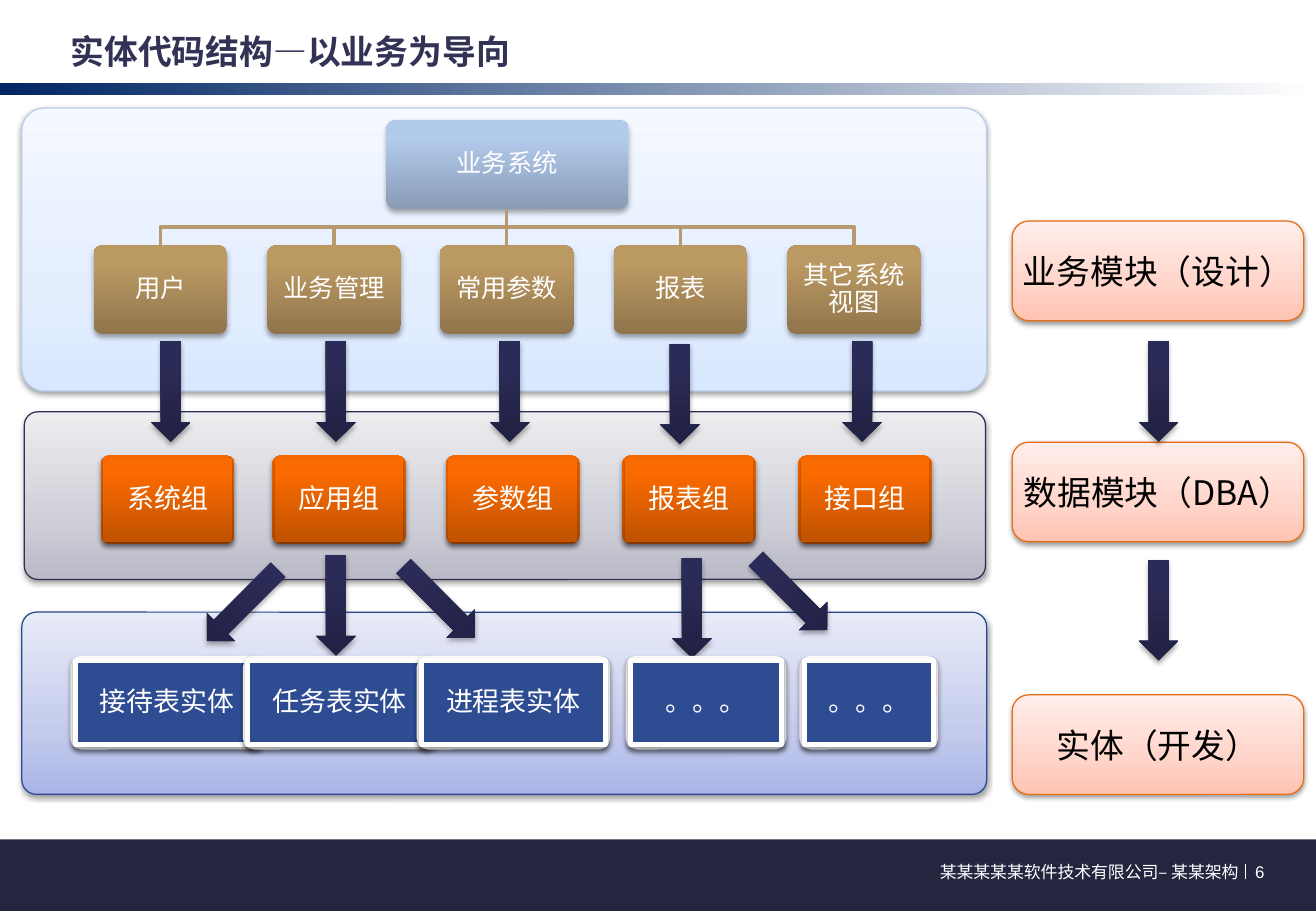
from lxml.etree import SubElement
from pptx import Presentation
from pptx.dml.color import RGBColor
from pptx.enum.shapes import MSO_CONNECTOR, MSO_SHAPE
from pptx.enum.text import MSO_ANCHOR, PP_ALIGN
from pptx.oxml.ns import qn
from pptx.util import Emu, Pt

PX = 9144
WHITE = RGBColor(0xFF, 0xFF, 0xFF)
BLACK = RGBColor(0x00, 0x00, 0x00)
NAVY = RGBColor(0x00, 0x26, 0x64)
FOOTER = RGBColor(0x25, 0x25, 0x40)
TITLE = RGBColor(0x32, 0x32, 0x55)
TAN = RGBColor(0xB6, 0x9B, 0x70)
ENTITY = RGBColor(0x2D, 0x4C, 0x92)
GRAY_LINE = RGBColor(0x30, 0x30, 0x54)
SKY_LINE = RGBColor(0xBA, 0xCD, 0xE9)
BLUE_LINE = RGBColor(0x2A, 0x49, 0x91)
ROLE_LINE = RGBColor(0xE9, 0x6E, 0x12)


def ramp(middle, *colors):
    """Return three gradient stops with the given middle position."""
    return list(zip((0, middle, 100), map(RGBColor.from_string, colors)))


GRAY_RAMP = ramp(35, "BABAC8", "CFCFD8", "EDEDF0")
SKY_RAMP = ramp(35, "D9E8FF", "E4EEFF", "F4F8FF")
BLUE_RAMP = ramp(35, "AAB5E6", "C4CBEC", "E8EBF8")
ROLE_RAMP = ramp(35, "FFC3B2", "FFD4C9", "FFEEEB")
ROOT_RAMP = ramp(80, "899CB6", "B2CAEC", "B2CBEF")
TAN_RAMP = ramp(80, "90754C", "BB9962", "BD9A61")
ORANGE_RAMP = ramp(80, "C05200", "F96A00", "FA6B00")
ARROW_RAMP = ramp(80, "212143", "2B2B57", "2B2B59")


def px(*values):
    """Turn px lengths into EMU."""
    return [Emu(round(v * PX)) for v in values]


def set_gradient(s, stops, angle):
    """Fill a shape with a linear gradient."""
    s.fill.gradient()
    s.fill.gradient_angle = angle
    gs_list = s._element.spPr.find(qn("a:gradFill")).find(qn("a:gsLst"))
    gs_list.clear()
    for pos, color in stops:
        gs = SubElement(gs_list, qn("a:gs"), pos=str(pos * 1000))
        SubElement(gs, qn("a:srgbClr"), val=str(color))


def set_shadow(s, alpha, distance):
    """Give a shape a soft shadow straight below it."""
    effects = s._element.spPr.find(qn("a:effectLst"))
    shadow = SubElement(effects, qn("a:outerShdw"), blurRad="40000",
                        dist=str(distance), dir="5400000", rotWithShape="0")
    color = SubElement(shadow, qn("a:srgbClr"), val=str(BLACK))
    SubElement(color, qn("a:alpha"), val=str(alpha * 1000))


def add_box(slide, kind, at, fill, line=None, width=0.75, adj=None,
            angle=90, shadow=True):
    """Add a preset shape with a solid or gradient fill."""
    s = slide.shapes.add_shape(kind, *px(*at))
    if adj is not None:
        s.adjustments[0] = adj
    if isinstance(fill, list):
        set_gradient(s, fill, angle)
    else:
        s.fill.solid()
        s.fill.fore_color.rgb = fill
    if line is None:
        s.line.fill.background()
    else:
        s.line.color.rgb = line
        s.line.width = Pt(width)
    s.shadow.inherit = False
    if shadow:
        set_shadow(s, *((38, 20000) if line is not None else (35, 23000)))
    return s


def set_text(s, text, size, color, align=PP_ALIGN.CENTER, font="Arial",
             inset=0, spacing=None, bold=False, anchor=MSO_ANCHOR.MIDDLE):
    """Write one paragraph into a shape."""
    tf = s.text_frame
    tf.word_wrap = True
    tf.vertical_anchor = anchor
    tf.margin_left, tf.margin_top, tf.margin_right, tf.margin_bottom = px(*[inset] * 4)
    p = tf.paragraphs[0]
    p.text = text
    p.alignment = align
    p.line_spacing = spacing
    p.font.name = font
    p.font.size = Pt(size)
    p.font.bold = bold
    p.font.color.rgb = color


def add_label(slide, at, text, size, color, align=PP_ALIGN.LEFT, bold=False):
    """Add a plain text box."""
    s = slide.shapes.add_textbox(*px(*at))
    set_text(s, text, size, color, align, bold=bold, anchor=MSO_ANCHOR.TOP)


def add_line(slide, start, end, color, width):
    """Add a straight line."""
    s = slide.shapes.add_connector(MSO_CONNECTOR.STRAIGHT, *px(*start, *end))
    s.line.color.rgb = color
    s.line.width = Pt(width)
    SubElement(s._element.spPr, qn("a:effectLst"))


def add_branch(slide, root_x, x):
    """Link the root node to a module centred at x."""
    top, bend, bottom = 173, 187, 202
    if x == root_x:
        add_line(slide, (x, top), (x, bottom), TAN, 2)
        return
    points = [px(*pt) for pt in ((root_x, bend), (x, bend), (x, bottom))]
    builder = slide.shapes.build_freeform(*px(root_x, top))
    s = builder.add_line_segments(points, close=False).convert_to_shape()
    s.fill.background()
    s.line.color.rgb = TAN
    s.line.width = Pt(2)
    s.shadow.inherit = False


def add_panel(slide, at, fill, line):
    """Add the background of one layer."""
    add_box(slide, MSO_SHAPE.ROUNDED_RECTANGLE, at, fill, line, adj=0.08)


def add_node(slide, at, fill, text):
    """Add a rounded node of the hierarchy."""
    s = add_box(slide, MSO_SHAPE.ROUNDED_RECTANGLE, at, fill, adj=0.1)
    set_text(s, text, 15, WHITE, inset=6, spacing=0.9)


def add_card(slide, x, y, w, fill, text, line=None):
    """Add a rounded card with its inner text plate."""
    add_box(slide, MSO_SHAPE.ROUNDED_RECTANGLE, (x, y, w, 73), fill, line, 3, 0.1)
    s = add_box(slide, MSO_SHAPE.RECTANGLE, (x + 2, y + 2, w - 4, 69), fill, line, 3)
    set_text(s, text, 16, WHITE, inset=7, spacing=0.9)


def add_arrow(slide, x, y, rotation=0):
    """Add a block arrow pointing down, turned by rotation."""
    s = add_box(slide, MSO_SHAPE.DOWN_ARROW, (x, y, 33, 83), ARROW_RAMP)
    s.rotation = rotation


def add_role(slide, y, text):
    """Add a box of the right-hand column."""
    s = add_box(slide, MSO_SHAPE.ROUNDED_RECTANGLE, (833, y, 240, 82),
                ROLE_RAMP, ROLE_LINE)
    set_text(s, text, 20, BLACK, font="Noto Sans CJK SC")


def add_frame(slide):
    """Add the title, header band and footer."""
    add_box(slide, MSO_SHAPE.RECTANGLE, (0, 68, 1083, 10),
            [(0, NAVY), (100, WHITE)], angle=0, shadow=False)
    add_box(slide, MSO_SHAPE.RECTANGLE, (0, 691, 1083, 59), FOOTER, shadow=False)
    add_label(slide, (1033, 709, 17, 17), "6", 10, WHITE)
    add_label(slide, (640, 709, 379, 17), "某某某某某软件技术有限公司– 某某架构",
              10, WHITE, PP_ALIGN.RIGHT)
    add_line(slide, (1025, 711), (1025, 724), WHITE, 0.75)
    add_label(slide, (58, 25, 506, 34), "实体代码结构—以业务为导向", 20, TITLE, bold=True)


def main():
    """Build the slide and save it."""
    prs = Presentation()
    prs.slide_width, prs.slide_height = px(1083, 750)
    slide = prs.slides.add_slide(prs.slide_layouts[6])
    add_frame(slide)

    add_panel(slide, (20, 339, 791, 138), GRAY_RAMP, GRAY_LINE)
    add_panel(slide, (18, 89, 794, 233), SKY_RAMP, SKY_LINE)
    add_node(slide, (318, 99, 199, 73), ROOT_RAMP, "业务系统")
    for i, text in enumerate(("用户", "业务管理", "常用参数", "报表", "其它系统视图")):
        x = round(77 + 142.75 * i)
        add_branch(slide, 417, x + 55)
        add_node(slide, (x, 202, 110, 73), TAN_RAMP, text)

    for x, y in ((124, 281), (260, 281), (403, 281), (543, 283), (693, 281)):
        add_arrow(slide, x, y)
    for x, text in ((83, "系统组"), (224, "应用组"), (367, "参数组"),
                    (512, "报表组"), (657, "接口组")):
        add_card(slide, x, 375, 110, ORANGE_RAMP, text)

    add_panel(slide, (18, 504, 794, 150), BLUE_RAMP, BLUE_LINE)
    for x, y, rotation in ((183, 457, 45), (260, 457, 0), (345, 454, 315),
                           (553, 459, 0), (635, 448, 315)):
        add_arrow(slide, x, y, rotation)
    for x, w, text in ((60, 155, "接待表实体"), (202, 155, "任务表实体"),
                       (345, 155, "进程表实体"), (517, 128, "。。。"),
                       (660, 110, "。。。")):
        add_card(slide, x, 542, w, ENTITY, text, WHITE)

    for y, text in ((182, "业务模块（设计）"), (364, "数据模块（DBA）"), (572, "实体（开发）")):
        add_role(slide, y, text)
    for y in (281, 461):
        add_arrow(slide, 937, y)
    prs.save("out.pptx")


if __name__ == "__main__":
    main()
